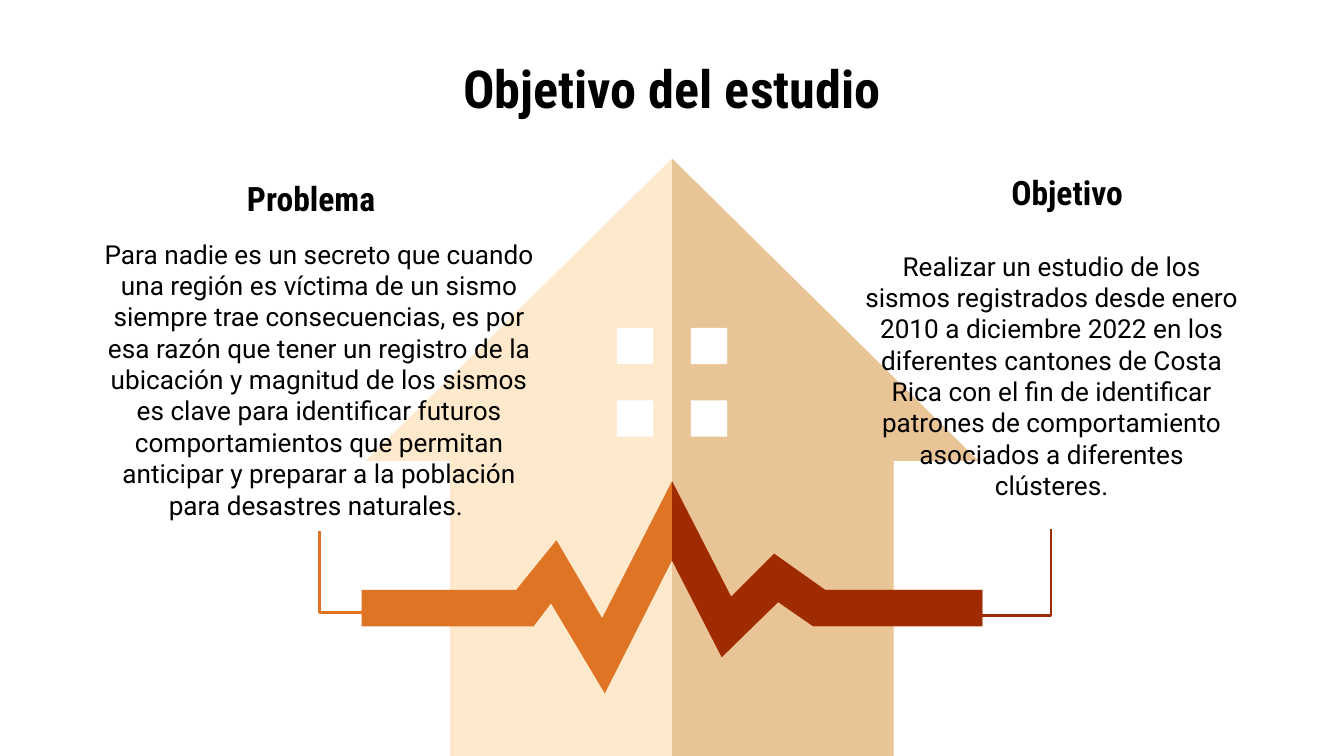
from typing import NamedTuple

from lxml.etree import SubElement
from pptx import Presentation
from pptx.dml.color import RGBColor
from pptx.enum.shapes import MSO_CONNECTOR, MSO_SHAPE
from pptx.enum.text import MSO_ANCHOR as Anchor, PP_ALIGN as Align
from pptx.oxml.ns import qn
from pptx.shapes.base import BaseShape
from pptx.slide import Slide
from pptx.util import Emu, Pt

PX = 9144  # 100 px to the inch
SLIDE_WIDTH = 1000
MARGIN = 10
BLANK_LAYOUT = 6

BLACK = RGBColor(0x00, 0x00, 0x00)
WHITE = RGBColor(0xFF, 0xFF, 0xFF)
CREAM = RGBColor(0xFF, 0xE9, 0xCD)
SAND = RGBColor(0xE9, 0xC4, 0x97)
ORANGE = RGBColor(0xDF, 0x74, 0x24)
RUST = RGBColor(0x9F, 0x2B, 0x00)

Point = tuple[int, int]


class Style(NamedTuple):
    font: str
    size: int
    bold: bool


class Label(NamedTuple):
    text: str
    left: int
    top: int
    width: int
    height: int
    style: Style
    anchor: Anchor = Anchor.TOP


class Outline(NamedTuple):
    color: RGBColor
    points: list[Point]


class Leader(NamedTuple):
    start: Point
    end: Point
    color: RGBColor


TITLE = Style("Roboto Condensed", 28, True)
HEADING = Style("Roboto Condensed", 18, True)
BODY = Style("Roboto", 14, False)

LABELS = [
    Label("Objetivo del estudio", 50, 45, 900, 41, TITLE, Anchor.MIDDLE),
    Label("Problema", 144, 122, 175, 61, HEADING),
    Label(
        "Para nadie es un secreto que cuando una región es víctima de un sismo "
        "siempre trae consecuencias, es por esa razón que tener un registro de la "
        "ubicación y magnitud de los sismos es clave para identificar futuros "
        "comportamientos que permitan anticipar y preparar a la población para "
        "desastres naturales. ",
        67, 167, 341, 228, BODY,
    ),
    Label("Objetivo", 713, 118, 162, 36, HEADING),
    Label(
        "Realizar un estudio de los sismos registrados desde enero 2010 a "
        "diciembre 2022 en los diferentes cantones de Costa Rica con el fin de "
        "identificar patrones de comportamiento asociados a diferentes clústeres.",
        632, 176, 301, 218, BODY,
    ),
]

ROOF_TOP = (500, 118)
LEFT_WALL = [(272, 343), (335, 343), (335, 581)]
RIGHT_WALL = [(665, 581), (665, 343), (728, 343)]
WAVE_TOP = (500, 358)
LEFT_WAVE = [(448, 460), (414, 402), (384, 439), (269, 439), (269, 466),
             (397, 466), (410, 449), (450, 516)]
RIGHT_WAVE = [(500, 417), (537, 489), (579, 448), (605, 466), (731, 466),
              (731, 439), (614, 439), (576, 412), (544, 444)]

OUTLINES = [
    Outline(CREAM, [ROOF_TOP, *LEFT_WALL, *RIGHT_WALL]),
    Outline(SAND, [ROOF_TOP, (500, 581), *RIGHT_WALL]),
    Outline(ORANGE, [WAVE_TOP, *LEFT_WAVE, *RIGHT_WAVE]),
    Outline(RUST, [WAVE_TOP, *RIGHT_WAVE]),
]

WINDOW_SIZE = 27
WINDOW_LEFTS = (459, 514)
WINDOW_TOPS = (244, 298)

LEADERS = [
    Leader((273, 456), (238, 395), ORANGE),
    Leader((687, 458), (782, 394), RUST),
]


def px(*lengths: int) -> list[Emu]:
    return [Emu(length * PX) for length in lengths]


def paint(shape: BaseShape, color: RGBColor) -> None:
    shape.shadow.inherit = False
    shape.fill.solid()
    shape.fill.fore_color.rgb = color
    shape.line.fill.background()


def draw_outline(slide: Slide, outline: Outline) -> None:
    first, *others = outline.points
    builder = slide.shapes.build_freeform(*first, scale=PX)
    builder.add_line_segments(others, close=True)
    paint(builder.convert_to_shape(), outline.color)


def draw_window(slide: Slide, left: int, top: int) -> None:
    box = px(left, top, WINDOW_SIZE, WINDOW_SIZE)
    paint(slide.shapes.add_shape(MSO_SHAPE.RECTANGLE, *box), WHITE)


def draw_label(slide: Slide, label: Label) -> None:
    box = px(label.left, label.top, label.width, label.height)
    frame = slide.shapes.add_textbox(*box).text_frame
    margin = Emu(MARGIN * PX)
    frame_format = {
        "word_wrap": True,
        "vertical_anchor": label.anchor,
        "margin_left": margin,
        "margin_right": margin,
        "margin_top": margin,
        "margin_bottom": margin,
    }
    for name, value in frame_format.items():
        setattr(frame, name, value)
    paragraph = frame.paragraphs[0]
    paragraph.alignment = Align.CENTER
    run = paragraph.add_run()
    run.text = label.text
    font_format = {
        "name": label.style.font,
        "size": Pt(label.style.size),
        "bold": label.style.bold,
    }
    for name, value in font_format.items():
        setattr(run.font, name, value)
    run.font.color.rgb = BLACK


def draw_leader(slide: Slide, leader: Leader) -> None:
    """Draw a single-bend line: horizontal from a round end, then vertical."""
    connector = slide.shapes.add_connector(
        MSO_CONNECTOR.ELBOW, *px(*leader.start, *leader.end)
    )
    connector.line.color.rgb = leader.color
    connector.line.width = Pt(1.5)
    properties = connector._element.spPr
    properties.find(qn("a:prstGeom")).set("prst", "bentConnector2")
    SubElement(properties.find(qn("a:ln")), qn("a:headEnd"), type="oval")
    SubElement(properties, qn("a:effectLst"))


def main() -> None:
    presentation = Presentation()
    presentation.slide_width = Emu(SLIDE_WIDTH * PX)
    presentation.slide_height = Emu(SLIDE_WIDTH * PX * 9 // 16)
    slide = presentation.slides.add_slide(presentation.slide_layouts[BLANK_LAYOUT])
    for outline in OUTLINES:
        draw_outline(slide, outline)
    for left in WINDOW_LEFTS:
        for top in WINDOW_TOPS:
            draw_window(slide, left, top)
    for label in LABELS:
        draw_label(slide, label)
    for leader in LEADERS:
        draw_leader(slide, leader)
    presentation.save("out.pptx")


if __name__ == "__main__":
    main()
